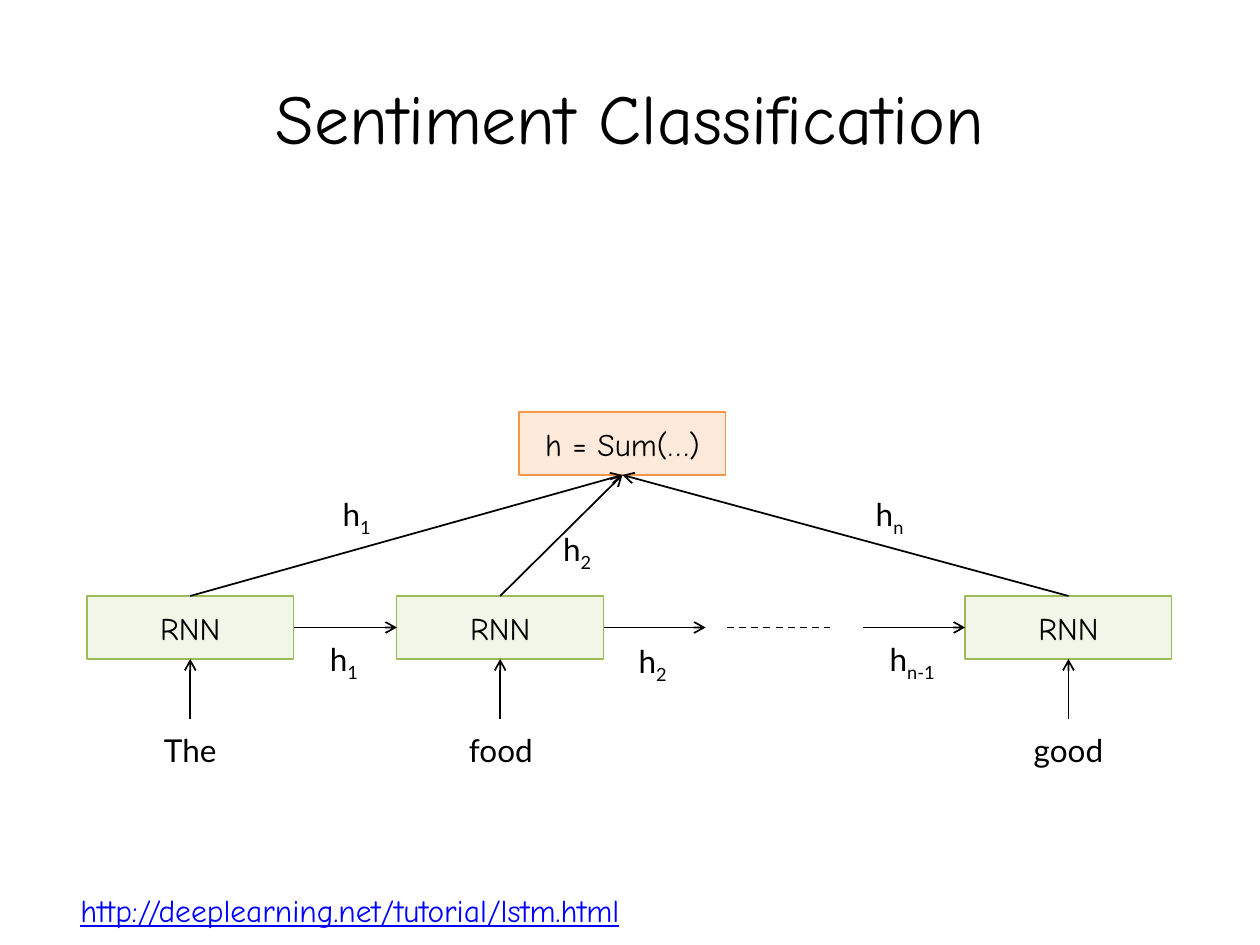
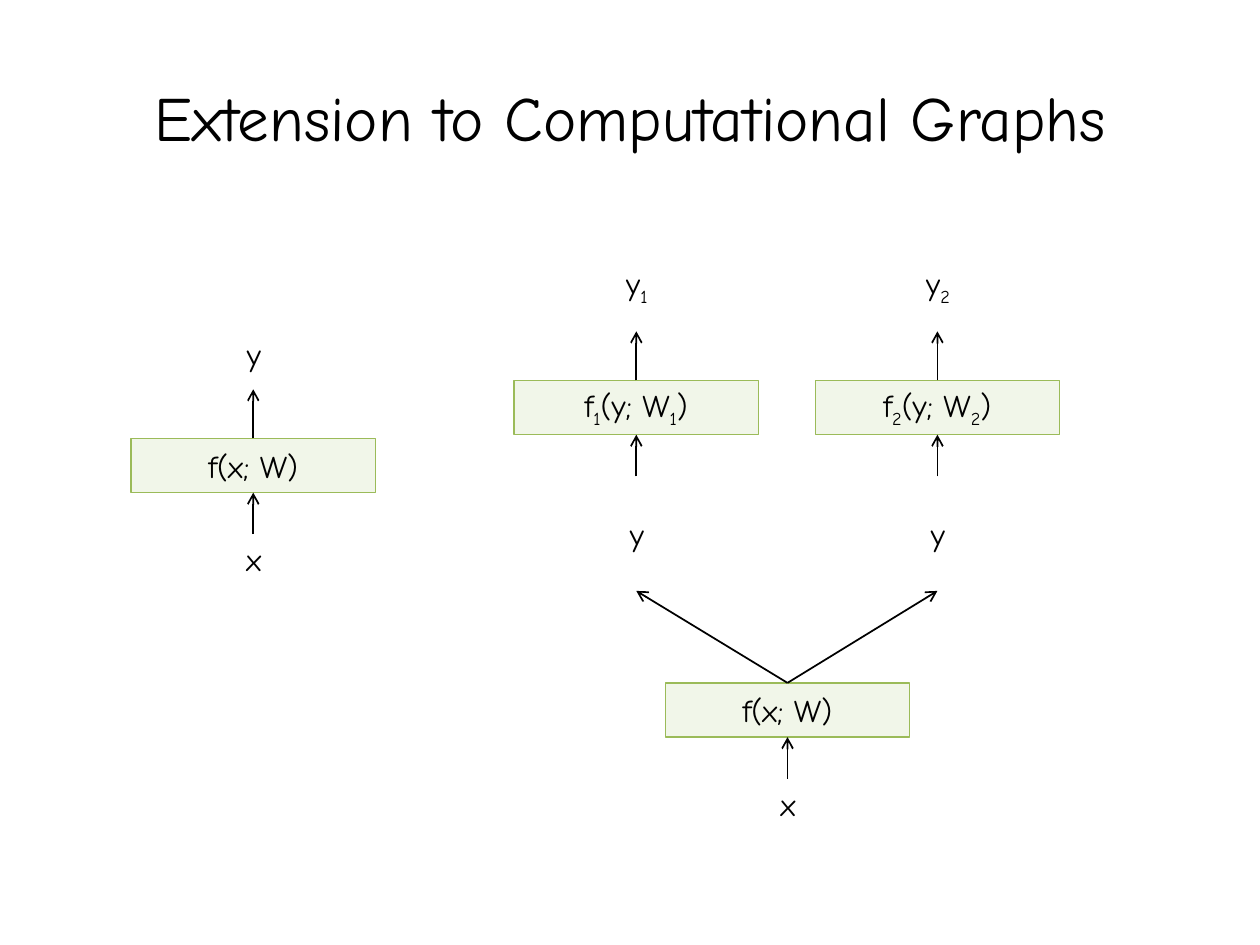
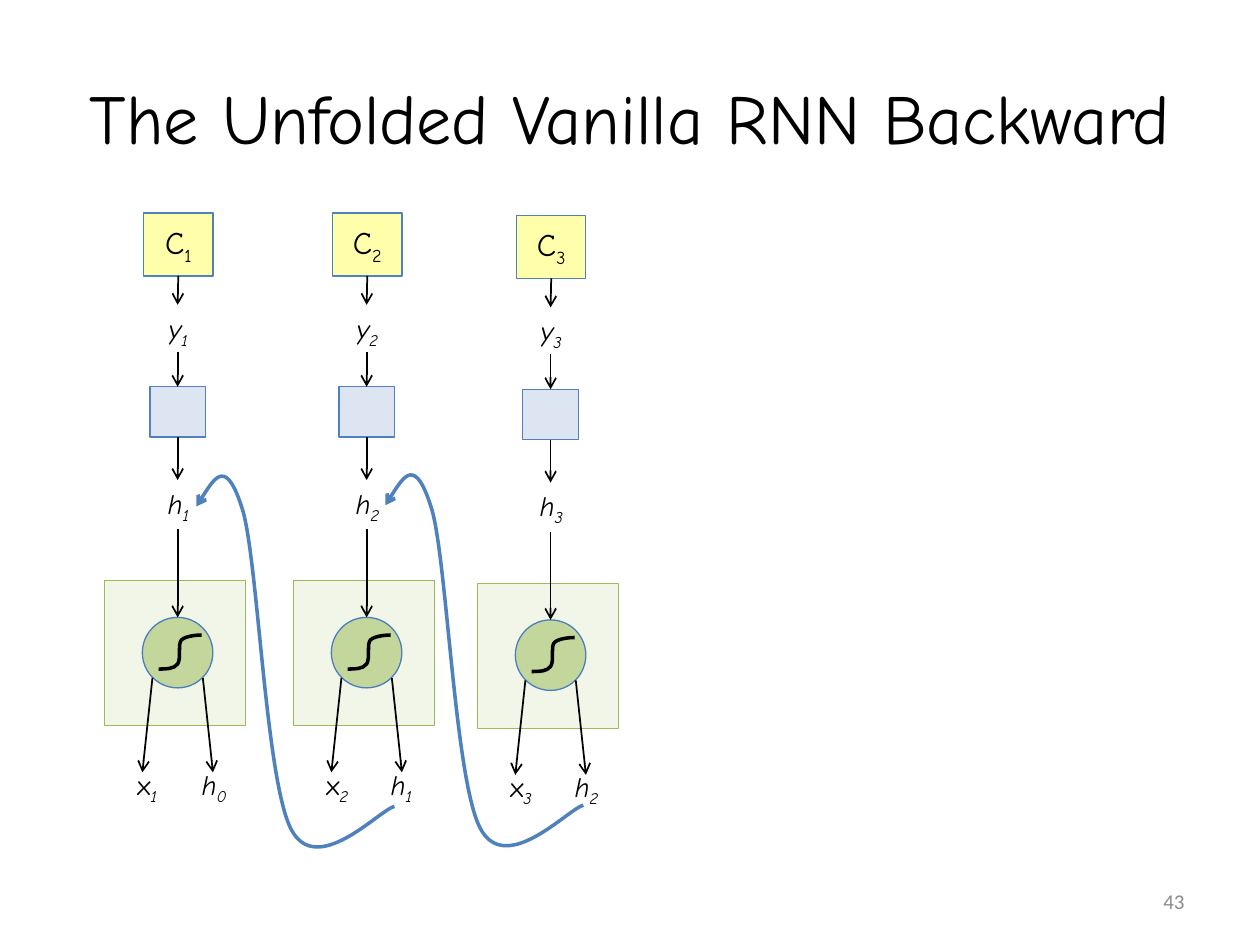
from pptx import Presentation
from pptx.dml.color import RGBColor
from pptx.enum.dml import MSO_LINE
from pptx.enum.shapes import MSO_CONNECTOR, MSO_SHAPE
from pptx.enum.text import MSO_ANCHOR, PP_ALIGN
from pptx.oxml.ns import qn
from pptx.util import Pt
from lxml.etree import SubElement

# Shared scale, fonts and colours
PX = 9144  # 100 px to the inch
HAND, SANS = "Comic Neue", "Lato"
BLACK, BLUE, LINK, GREY = "000000", "4F81BD", "0000FF", "8C8C8C"
GREEN_CELL = ("D7E4BD", "9BBB59")
ORANGE_CELL = ("FAC090", "F79646")
YELLOW_CELL = ("FFFF00", BLUE)
BLUE_CELL = ("95B3D7", BLUE)
TOP, LEFT, BOTTOM, RIGHT = range(4)


def px(*lengths):
    return [length * PX for length in lengths]


def color(target, value):
    target.rgb = RGBColor.from_string(value)


# Text
def write(frame, text, size=18, font=HAND, ink=BLACK, align=PP_ALIGN.CENTER, **extra):
    """Write one paragraph; every second part between bars is a subscript."""
    para = frame.paragraphs[0]
    para.alignment = align
    formats = {"size": Pt(size), "name": font, **extra}
    for index, part in enumerate(text.split("|")):
        if not part:
            continue
        span = para.add_run()
        span.text = part
        for name, value in formats.items():
            setattr(span.font, name, value)
        color(span.font.color, ink)
        if index % 2:
            span._r.get_or_add_rPr().set("baseline", "-25000")
    return para


def label(shapes, text, center, top, width=48, height=40, **style):
    box = shapes.add_textbox(*px(center - width // 2, top, width, height))
    box.text_frame.word_wrap = False
    write(box.text_frame, text, **style)


def add_page(deck, title, size=40, left=50, width=900):
    page = deck.slides.add_slide(deck.slide_layouts[5])
    box = page.shapes.title
    box.left, box.top, box.width, box.height = px(left, 30, width, 125)
    box.text_frame.vertical_anchor = MSO_ANCHOR.MIDDLE
    write(box.text_frame, title, size)
    return page


# Shapes and lines
def node(shapes, center, top, width, height, colors, text="",
         preset=MSO_SHAPE.RECTANGLE, opacity=33):
    fill, outline = colors
    box = shapes.add_shape(preset, *px(center - width // 2, top, width, height))
    box.shadow.inherit = False
    box.fill.solid()
    color(box.fill.fore_color, fill)
    if opacity < 100:
        tint = box.fill._xPr.find(".//" + qn("a:srgbClr"))
        SubElement(tint, qn("a:alpha"), val=str(opacity * 1000))
    color(box.line.color, outline)
    box.line.width = Pt(0.75)
    box.text_frame.vertical_anchor = MSO_ANCHOR.MIDDLE
    if text:
        write(box.text_frame, text)
    return box


def add_arrowhead(line):
    SubElement(line._get_or_add_ln(), qn("a:tailEnd"), type="arrow")


def connect(shapes, start, end, source=None, target=None, dashed=False):
    """Draw a line; source and target are (box, side) pairs to join."""
    link = shapes.add_connector(MSO_CONNECTOR.STRAIGHT, *px(*start, *end))
    if source:
        link.begin_connect(*source)
    if target:
        link.end_connect(*target)
    color(link.line.color, BLACK)
    link.line.width = Pt(1)
    if dashed:
        link.line.dash_style = MSO_LINE.DASH
    else:
        add_arrowhead(link.line)
    SubElement(link._element.spPr, qn("a:effectLst"))


def curve(shapes, points, ink, arrow=False):
    """Draw a Bezier line: a start point, then three points for each bend."""
    builder = shapes.build_freeform(*points[0], scale=PX)
    builder.add_line_segments(points[1:], close=False)
    shape = builder.convert_to_shape()
    segments = shape._element.findall(".//" + qn("a:lnTo"))
    for first in range(0, len(segments), 3):
        bend = SubElement(segments[first].getparent(), qn("a:cubicBezTo"))
        for segment in segments[first:first + 3]:
            bend.append(segment[0])
            segment.getparent().remove(segment)
    shape.shadow.inherit = False
    shape.fill.background()
    color(shape.line.color, ink)
    shape.line.width = Pt(2)
    if arrow:
        add_arrowhead(shape.line)


# Slide 1: hidden states summed over a sentence
def build_sentiment(deck):
    shapes = add_page(deck, "Sentiment Classification").shapes
    total = node(shapes, 494, 327, 164, 50, ORANGE_CELL, "h = Sum(…)")
    cells = []
    for center, word, width in ((151, "The", 70), (397, "food", 75), (848, "good", 80)):
        cell = node(shapes, center, 473, 164, 50, GREEN_CELL, "RNN")
        connect(shapes, (center, 571), (center, 523), target=(cell, BOTTOM))
        connect(shapes, (center, 473), (494, 377), (cell, TOP), (total, BOTTOM))
        label(shapes, word, center, 575, width, font=SANS)
        cells.append(cell)
    first, second, last = cells
    connect(shapes, (233, 498), (315, 498), (first, RIGHT), (second, LEFT))
    connect(shapes, (479, 498), (560, 498), (second, RIGHT))
    connect(shapes, (577, 498), (659, 498), dashed=True)
    connect(shapes, (685, 498), (766, 498), target=(last, LEFT))
    for text, center, top in (("h|1", 273, 503), ("h|2", 518, 505),
                              ("h|1", 283, 388), ("h|2", 458, 416), ("h|n", 706, 388)):
        label(shapes, text, center, top, font=SANS)
    label(shapes, "h|n-1", 724, 503, 64, font=SANS)
    label(shapes, "http://deeplearning.net/tutorial/lstm.html", 319, 702, 530,
          ink=LINK, align=PP_ALIGN.LEFT, underline=True)


# Slide 2: functions as graph nodes
def function_node(shapes, center, top, text, source, source_top):
    box = node(shapes, center, top, 194, 43, GREEN_CELL, text)
    connect(shapes, (center, top + 76), (center, top + 43), target=(box, BOTTOM))
    label(shapes, source, center, source_top, 63)
    return box


def output(shapes, box, center, top, text, text_top):
    connect(shapes, (center, top), (center, top - 39), source=(box, TOP))
    label(shapes, text, center, text_top, 63)


def build_graphs(deck):
    shapes = add_page(deck, "Extension to Computational Graphs", 36).shapes
    single = function_node(shapes, 201, 348, "f(x; W)", "x", 424)
    output(shapes, single, 201, 348, "y", 261)
    shared = function_node(shapes, 625, 542, "f(x; W)", "x", 618)
    for number, center in ((1, 505), (2, 744)):
        branch = function_node(shapes, center, 302, f"f|{number}|(y; W|{number}|)", "y", 404)
        output(shapes, branch, center, 302, f"y|{number}", 205)
        connect(shapes, (625, 542), (center, 469), source=(shared, TOP))


# Slide 3: backward pass through the unfolded network
def input_pair(shapes, center, top, step):
    box = shapes.add_textbox(*px(center - 58, top, 112, 55))
    frame = box.text_frame
    frame.word_wrap = True
    frame.margin_left = 26 * PX
    stops = SubElement(frame.paragraphs[0]._p.get_or_add_pPr(), qn("a:tabLst"))
    SubElement(stops, qn("a:tab"), pos=str(51 * PX), algn="l")
    para = write(frame, f"x|{step}|\th|{step - 1}", 16, align=PP_ALIGN.LEFT, italic=True)
    para.runs[0].font.italic = False


def backward_step(page, step, center, shift):
    shapes = page.shapes.add_group_shape().shapes
    node(shapes, center - 2, 461 + shift, 112, 115, GREEN_CELL)
    unit = node(shapes, center, 490 + shift, 56, 56, ("C3D69B", "4B7EBC"),
                preset=MSO_SHAPE.OVAL, opacity=100)
    sigmoid = ((-15, 531), (-9, 531), (-3, 531), (0, 527),
               (3, 523), (0, 511), (3, 508), (7, 504), (19, 504), (19, 504))
    curve(shapes, [(center + x, y + shift) for x, y in sigmoid], BLACK)
    cost = node(shapes, center, 169 + shift, 55, 50, YELLOW_CELL, f"C|{step}")
    layer = node(shapes, center, 307 + shift, 44, 40, BLUE_CELL)
    for start, end, source, target in ((219, 242, (cost, BOTTOM), None),
                                       (279, 307, None, (layer, TOP)),
                                       (347, 381, (layer, BOTTOM), None),
                                       (420, 490, None, (unit, TOP))):
        connect(shapes, (center, start + shift), (center, end + shift), source, target)
    for side in (-1, 1):
        connect(shapes, (center + side * 20, 538 + shift), (center + side * 28, 613 + shift))
    for name, top in (("y", 242), ("h", 381)):
        label(shapes, f"{name}|{step}", center, top + shift, 41, 37, size=16, italic=True)
    input_pair(shapes, center, 604 + shift, step)


def build_backward(deck):
    page = add_page(deck, "The Unfolded Vanilla RNN Backward", left=0, width=1000)
    for step, center, shift in ((1, 141, 0), (2, 291, 0), (3, 437, 2)):
        backward_step(page, step, center, shift)
    feedback = ((313, 640), (300, 644), (251, 697), (231, 658), (211, 619),
                (205, 449), (193, 406), (180, 363), (168, 382), (156, 402))
    for right, down in ((0, 0), (150, -1)):
        curve(page.shapes, [(x + right, y + down) for x, y in feedback], BLUE, arrow=True)
    number = page.shapes.add_textbox(*px(717, 695, 233, 40)).text_frame
    number.word_wrap = True
    number.vertical_anchor = MSO_ANCHOR.MIDDLE
    write(number, "43", 12, "Calibri", GREY, PP_ALIGN.RIGHT)


def main():
    deck = Presentation()
    deck.slide_width, deck.slide_height = px(1000, 750)
    build_sentiment(deck)
    build_graphs(deck)
    build_backward(deck)
    deck.save("out.pptx")


if __name__ == "__main__":
    main()
